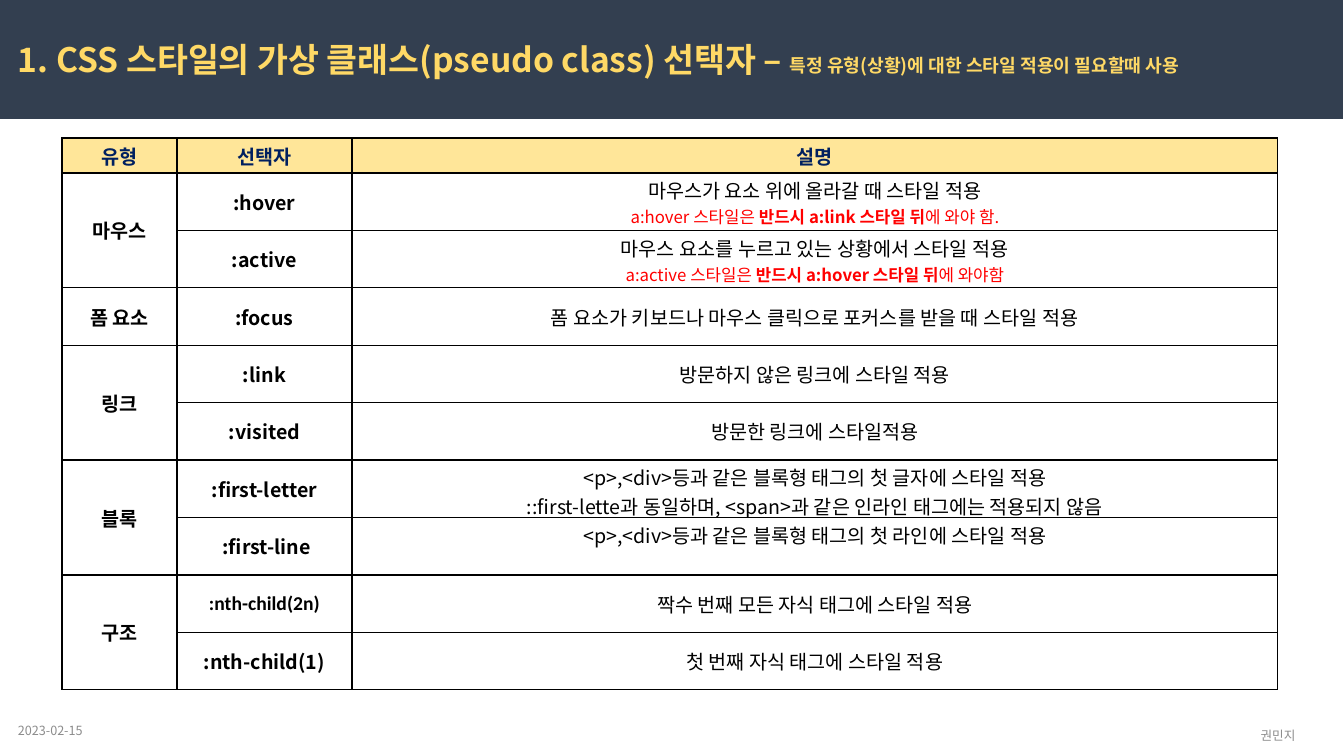
from dataclasses import dataclass

from lxml import etree
from pptx import Presentation
from pptx.dml.color import RGBColor
from pptx.enum.shapes import MSO_SHAPE
from pptx.enum.text import MSO_ANCHOR, PP_ALIGN
from pptx.oxml.ns import qn
from pptx.util import Pt

RECTANGLE = MSO_SHAPE.RECTANGLE
TOP, MIDDLE = MSO_ANCHOR.TOP, MSO_ANCHOR.MIDDLE
LEFT, CENTER = PP_ALIGN.LEFT, PP_ALIGN.CENTER
PX = 914400 / 100.8


@dataclass(frozen=True)
class Theme:
    """Fonts, colours and type sizes of the slide."""
    korean: str = "Noto Sans CJK KR"
    latin: str = "Calibri"
    band: str = "333F50"
    title: str = "FFD966"
    header_fill: str = "FFE699"
    header_text: str = "002060"
    body_fill: str = "FFFFFF"
    body_text: str = "000000"
    warning: str = "FF0000"
    footer: str = "8C8C8C"
    title_size: int = 24
    subtitle_size: int = 13
    body_size: int = 14
    warning_size: int = 12
    footer_size: int = 9


THEME = Theme()


def px(value):
    """Turn pixels into EMU."""
    return round(value * PX)


def write(paragraph, pieces, align=CENTER):
    """Fill a paragraph with (text, size, colour, bold, font) pieces."""
    paragraph.alignment = align
    for text, size, colour, bold, font in pieces:
        run = paragraph.add_run()
        run.text = text
        run.font.size, run.font.bold, run.font.name = Pt(size), bold, font
        run.font.color.rgb = RGBColor.from_string(colour)
        east_asian = etree.SubElement(run.font._element, qn("a:ea"))
        east_asian.set("typeface", THEME.korean)


presentation = Presentation()
presentation.slide_width, presentation.slide_height = px(1344), px(756)
slide = presentation.slides.add_slide(presentation.slide_layouts[6])

title_band = slide.shapes.add_shape(RECTANGLE, 0, 0, px(1343), px(119))
title_band.shadow.inherit = False
title_band.fill.solid()
title_band.fill.fore_color.rgb = RGBColor.from_string(THEME.band)
title_band.line.fill.background()

title = [
    ("1. CSS 스타일의 가상 클래스(pseudo class) 선택자 – ",
     THEME.title_size, THEME.title, True, THEME.korean),
    ("특정 유형(상황)에 대한 스타일 적용이 필요할때 사용",
     THEME.subtitle_size, THEME.title, True, THEME.korean),
]
footer_style = (THEME.footer_size, THEME.footer, False, THEME.korean)
captions = [
    ((8, 711, 302, 40), LEFT, MIDDLE, [("2023-02-15", *footer_style)]),
    ((1213, 716, 130, 40), CENTER, MIDDLE, [("권민지", *footer_style)]),
    ((8, 34, 1315, 50), LEFT, TOP, title),
]
for bounds, align, anchor, pieces in captions:
    frame = slide.shapes.add_textbox(*map(px, bounds)).text_frame
    frame.word_wrap = True
    frame.vertical_anchor = anchor
    write(frame.paragraphs[0], pieces, align)

# Each type holds its selectors; a description is a list of lines,
# and a line split in three is a warning with a bold middle.
selector_types = [
    ("마우스", [
        (":hover", ["마우스가 요소 위에 올라갈 때 스타일 적용",
                    ("a:hover 스타일은\u00a0", "반드시 a:link 스타일 뒤", "에 와야 함.")]),
        (":active", ["마우스 요소를 누르고 있는 상황에서 스타일 적용",
                     ("a:active 스타일은\u00a0", "반드시 a:hover 스타일 뒤", "에 와야함")]),
    ]),
    ("폼 요소", [
        (":focus", ["폼 요소가 키보드나 마우스 클릭으로 포커스를 받을 때 스타일 적용"]),
    ]),
    ("링크", [
        (":link", ["방문하지 않은 링크에 스타일 적용"]),
        (":visited", ["방문한 링크에 스타일적용"]),
    ]),
    ("블록", [
        (":first-letter", ["<p>,<div>등과 같은 블록형 태그의 첫 글자에 스타일 적용",
                           "::first-lette과 동일하며, <span>과 같은 인라인 태그에는 적용되지 않음"]),
        ("\u00a0:first-line", ["<p>,<div>등과 같은 블록형 태그의 첫 라인에 스타일 적용"]),
    ]),
    ("구조", [
        (":nth-child(2n)", ["짝수 번째 모든 자식 태그에 스타일 적용"]),
        (":nth-child(1)", ["첫 번째 자식 태그에 스타일 적용"]),
    ]),
]
headings = [("유형", THEME.latin), ("선택자", THEME.korean), ("설명", THEME.korean)]
column_widths = [115, 175, 926]
header_height, table_height = 35, 552
row_count = sum(len(selectors) for _, selectors in selector_types)

table = slide.shapes.add_table(row_count + 1, len(headings), px(62), px(138),
                               px(sum(column_widths)), px(table_height)).table
for column, width in zip(table.columns, column_widths):
    column.width = px(width)
for index, row in enumerate(table.rows):
    row.height = px((table_height - header_height) / row_count if index else header_height)
    for cell in row.cells:
        cell.fill.solid()
        cell.fill.fore_color.rgb = RGBColor.from_string(
            THEME.body_fill if index else THEME.header_fill)
        cell.vertical_anchor = MIDDLE
        cell.margin_left = cell.margin_right = px(1)
        cell.margin_top = cell.margin_bottom = px(3)
        properties = cell._tc.get_or_add_tcPr()
        for position, side in enumerate(("a:lnL", "a:lnR", "a:lnT", "a:lnB")):
            border = etree.Element(qn(side), w=str(Pt(1)))
            paint = etree.SubElement(border, qn("a:solidFill"))
            etree.SubElement(paint, qn("a:srgbClr"), val=THEME.body_text)
            properties.insert(position, border)

for column, (heading, font) in enumerate(headings):
    write(table.cell(0, column).text_frame.paragraphs[0],
          [(heading, THEME.body_size, THEME.header_text, True, font)])

row = 1
for type_name, selectors in selector_types:
    type_cell = table.cell(row, 0)
    if len(selectors) > 1:
        type_cell.merge(table.cell(row + len(selectors) - 1, 0))
    write(type_cell.text_frame.paragraphs[0],
          [(type_name, THEME.body_size, THEME.body_text, True, THEME.latin)])
    for selector, lines in selectors:
        selector_font = THEME.latin if selector == ":nth-child(2n)" else THEME.korean
        write(table.cell(row, 1).text_frame.paragraphs[0],
              [(selector, THEME.body_size, THEME.body_text, True, selector_font)])
        description = table.cell(row, 2)
        if selector.endswith(":first-line"):
            description.vertical_anchor = TOP
        for number, line in enumerate(lines):
            frame = description.text_frame
            paragraph = frame.add_paragraph() if number else frame.paragraphs[0]
            if isinstance(line, tuple):
                pieces = [(part, THEME.warning_size, THEME.warning, place == 1, THEME.korean)
                          for place, part in enumerate(line)]
            else:
                pieces = [(line, THEME.body_size, THEME.body_text, False, THEME.korean)]
            write(paragraph, pieces)
        row += 1

presentation.save("out.pptx")
